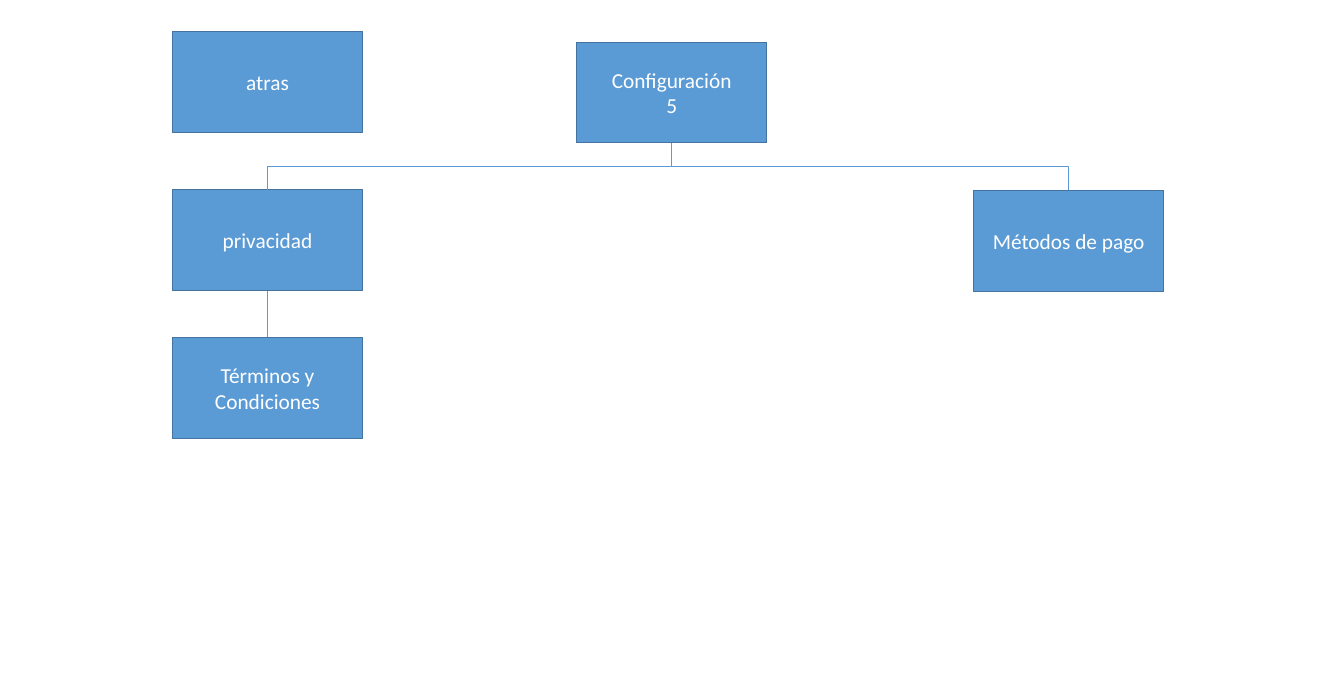
"""Build the settings screen map: a root box, its options and their connectors."""
import pptx
import pptx.dml.color
import pptx.enum.shapes
import pptx.enum.text
import pptx.oxml.ns
import pptx.util

Pt = pptx.util.Pt
COLORS = {"box": "5B9BD5", "border": "43739E", "text": "FFFFFF"}
BOX_WIDTH, BOX_HEIGHT = 160.5, 85
LEFT_COLUMN = 145.5
BOTTOM, TOP = 2, 0


def rgb(name):
    return pptx.dml.color.RGBColor.from_string(COLORS[name])


def add_box(slide, text, left, top):
    shape = slide.shapes.add_shape(
        pptx.enum.shapes.MSO_SHAPE.RECTANGLE,
        Pt(left), Pt(top), Pt(BOX_WIDTH), Pt(BOX_HEIGHT))
    shape.shadow.inherit = False
    shape.fill.solid()
    shape.fill.fore_color.rgb = rgb("box")
    shape.line.color.rgb = rgb("border")
    shape.line.width = Pt(1)
    text_frame = shape.text_frame
    text_frame.text = text
    text_frame.word_wrap = True
    text_frame.vertical_anchor = pptx.enum.text.MSO_ANCHOR.MIDDLE
    for paragraph in text_frame.paragraphs:
        paragraph.alignment = pptx.enum.text.PP_ALIGN.CENTER
        for run in paragraph.runs:
            run.font.name = "Calibri"
            run.font.size = Pt(18)
            run.font.color.rgb = rgb("text")
    return shape


def link(slide, parent, child, kind):
    connector = slide.shapes.add_connector(kind, 0, 0, 0, 0)
    connector.begin_connect(parent, BOTTOM)
    connector.end_connect(child, TOP)
    connector.line.color.rgb = rgb("box")
    connector.line.width = Pt(0.5)
    properties = connector._element.spPr
    properties.append(properties.makeelement(pptx.oxml.ns.qn("a:effectLst"), {}))
    return connector


def add_straight_link(slide, parent, child):
    link(slide, parent, child, pptx.enum.shapes.MSO_CONNECTOR.STRAIGHT)


def add_elbow_link(slide, parent, child):
    """Turn the elbow a quarter so that it leaves downwards."""
    connector = link(slide, parent, child, pptx.enum.shapes.MSO_CONNECTOR.ELBOW)
    start_x = parent.left + parent.width // 2
    start_y = parent.top + parent.height
    across = child.left + child.width // 2 - start_x
    down = child.top - start_y
    connector.width, connector.height = down, abs(across)
    connector.left = start_x + (across - down) // 2
    connector.top = start_y + (down - abs(across)) // 2
    goes_right = across > 0
    transform = connector._element.spPr.find(pptx.oxml.ns.qn("a:xfrm"))
    transform.set("rot", str((270 if goes_right else 90) * 60000))
    transform.set("flipH", "1" if goes_right else "0")
    transform.set("flipV", "0")


def main():
    presentation = pptx.Presentation()
    presentation.slide_width = Pt(1134)
    presentation.slide_height = Pt(581)
    slide = presentation.slides.add_slide(presentation.slide_layouts[6])

    settings = add_box(slide, "Configuración\n5", 486.5, 35.5)
    privacy = add_box(slide, "privacidad", LEFT_COLUMN, 160)
    terms = add_box(slide, "Términos y Condiciones", LEFT_COLUMN, 284.5)
    payment = add_box(slide, "Métodos de pago", 821.5, 160.5)
    add_box(slide, "atras", LEFT_COLUMN, 26.5)

    add_elbow_link(slide, settings, privacy)
    add_straight_link(slide, privacy, terms)
    add_elbow_link(slide, settings, payment)

    presentation.save("out.pptx")


if __name__ == "__main__":
    main()
